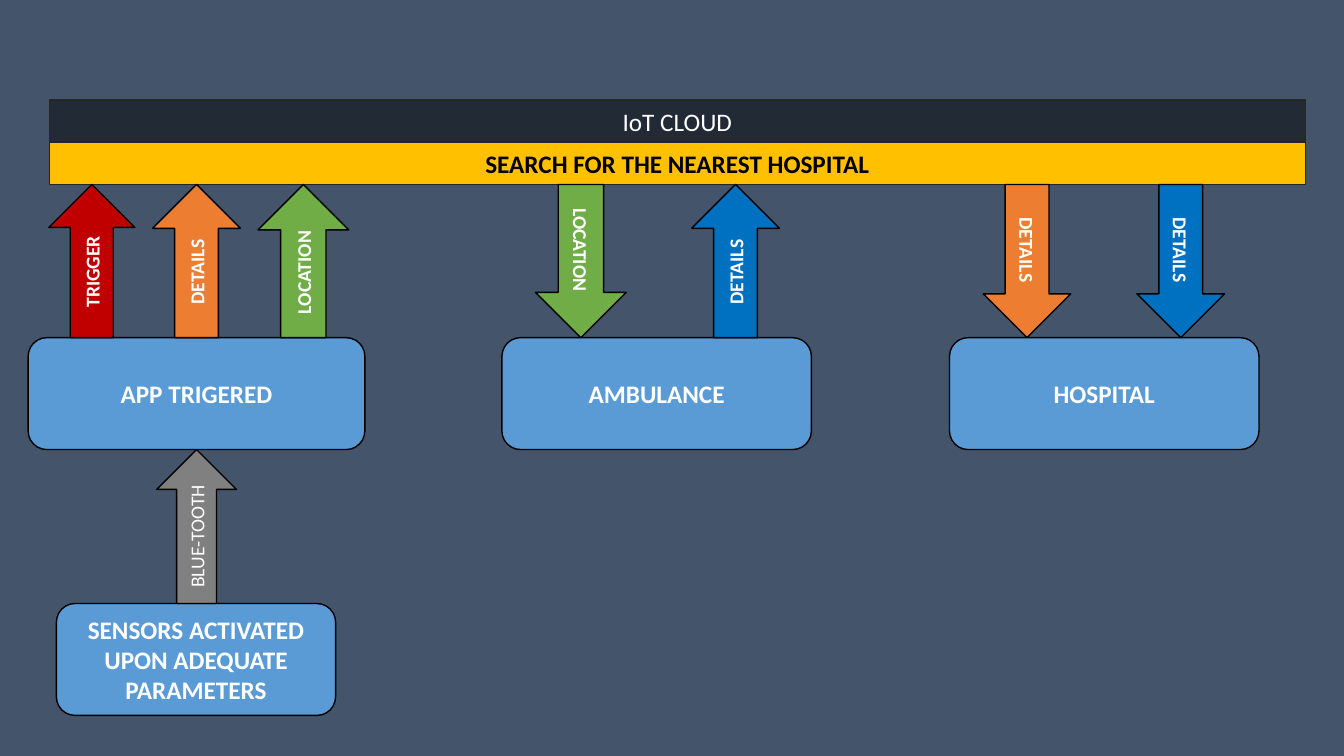
from pptx import Presentation
from pptx import util as u
from pptx.dml.color import RGBColor
from pptx.enum import shapes, text

BACKGROUND = RGBColor(0x44, 0x54, 0x6A)
BLACK = RGBColor(0x00, 0x00, 0x00)
WHITE = RGBColor(0xFF, 0xFF, 0xFF)
CHARCOAL = RGBColor(0x26, 0x26, 0x26)
NAVY = RGBColor(0x22, 0x2A, 0x35)
GOLD = RGBColor(0xFF, 0xC0, 0x00)
SKY = RGBColor(0x5B, 0x9B, 0xD5)
GREEN = RGBColor(0x70, 0xAD, 0x47)
ORANGE = RGBColor(0xED, 0x7D, 0x31)
RED = RGBColor(0xC0, 0x00, 0x00)
BLUE = RGBColor(0x00, 0x70, 0xC0)
GRAY = RGBColor(0x80, 0x80, 0x80)

UP, DOWN = 270, 90
BAR_LEFT, BAR_WIDTH, BAR_HEIGHT = 35.28, 897.12, 30.24
CLOUD_TOP = 71.28
SEARCH_TOP = CLOUD_TOP + BAR_HEIGHT
BAR_BOTTOM = SEARCH_TOP + BAR_HEIGHT
BOX_TOP, BOX_HEIGHT = 241.2, 79.92
BOX_BOTTOM = BOX_TOP + BOX_HEIGHT
SENSORS_TOP = 431.1
APP_CENTER = 140.4

BOXES = [
    ("SENSORS ACTIVATED UPON ADEQUATE PARAMETERS", 40.32, SENSORS_TOP, 199.44),
    ("APP TRIGERED", 20.16, BOX_TOP, 240.48),
    ("AMBULANCE", 358.56, BOX_TOP, 221.04),
    ("HOSPITAL", 678.24, BOX_TOP, 221.04),
]

CLOUD_ARROWS = [
    ("LOCATION", 216.72, 64.8, UP, GREEN),
    ("DETAILS", APP_CENTER, 62.64, UP, ORANGE),
    ("TRIGGER", 65.6, 61.4, UP, RED),
    ("LOCATION", 414.9, 64.8, DOWN, GREEN),
    ("DETAILS", 525.4, 62.64, UP, BLUE),
    ("DETAILS", 843.4, 62.64, DOWN, BLUE),
    ("DETAILS", 733.6, 62.64, DOWN, ORANGE),
]


class Diagram:
    font_name = "Calibri"

    def __init__(self, slide):
        self.slide = slide
        fill = slide.background.fill
        fill.solid()
        fill.fore_color.rgb = BACKGROUND

    def add(self, kind, label, frame, fill, line=BLACK, color=WHITE, size=18, bold=True):
        shape = self.slide.shapes.add_shape(kind, *(u.Pt(value) for value in frame))
        shape.shadow.inherit = False
        shape.fill.solid()
        shape.fill.fore_color.rgb = fill
        shape.line.color.rgb = line
        shape.line.width = u.Pt(1)
        shape.text_frame.word_wrap = True
        shape.text_frame.vertical_anchor = text.MSO_ANCHOR.MIDDLE
        paragraph = shape.text_frame.paragraphs[0]
        paragraph.alignment = text.PP_ALIGN.CENTER
        run = paragraph.add_run()
        run.text = label
        font_format = {"name": self.font_name, "size": u.Pt(size), "bold": bold}
        for attribute, value in font_format.items():
            setattr(run.font, attribute, value)
        run.font.color.rgb = color
        return shape

    def bar(self, label, top, fill, color, bold):
        frame = (BAR_LEFT, top, BAR_WIDTH, BAR_HEIGHT)
        self.add(shapes.MSO_SHAPE.RECTANGLE, label, frame, fill, CHARCOAL, color, bold=bold)

    def box(self, label, left, top, width):
        frame = (left, top, width, BOX_HEIGHT)
        self.add(shapes.MSO_SHAPE.ROUNDED_RECTANGLE, label, frame, SKY)

    def arrow(self, label, center, top, bottom, thickness, rotation, fill, bold=True):
        length = bottom - top
        middle = (top + bottom) / 2
        frame = (center - length / 2, middle - thickness / 2, length, thickness)
        shape = self.add(shapes.MSO_SHAPE.RIGHT_ARROW, label, frame, fill, size=14, bold=bold)
        shape.rotation = rotation


def main():
    presentation = Presentation()
    presentation.slide_width = u.Pt(960)
    presentation.slide_height = u.Pt(540)
    diagram = Diagram(presentation.slides.add_slide(presentation.slide_layouts[6]))

    for box in BOXES:
        diagram.box(*box)
    diagram.bar("SEARCH FOR THE NEAREST HOSPITAL", SEARCH_TOP, GOLD, BLACK, True)
    for label, center, thickness, rotation, fill in CLOUD_ARROWS:
        diagram.arrow(label, center, BAR_BOTTOM, BOX_TOP, thickness, rotation, fill)
    diagram.bar("IoT CLOUD", CLOUD_TOP, NAVY, WHITE, False)
    diagram.arrow("BLUE-TOOTH", APP_CENTER, BOX_BOTTOM, SENSORS_TOP, 56.88, UP, GRAY, False)

    presentation.save("out.pptx")


if __name__ == "__main__":
    main()
